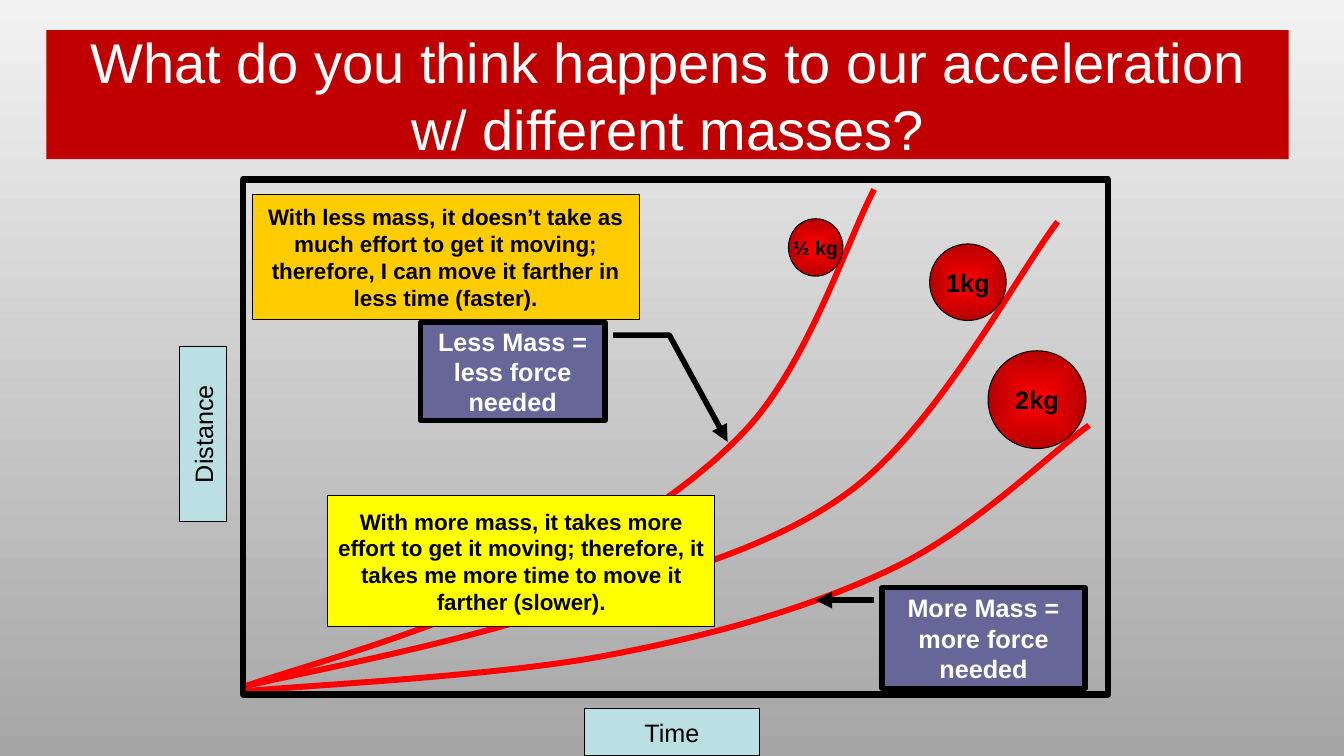
"""Build a slide on how mass changes acceleration, shown on a distance-time sketch."""
from lxml.etree import SubElement
from pptx import Presentation
from pptx.dml.color import RGBColor
from pptx.enum.shapes import MSO_SHAPE as Shape
from pptx.enum.text import MSO_ANCHOR as Anchor, PP_ALIGN as Align
from pptx.oxml.ns import qn
from pptx.util import Inches, Pt


def paint(target, color):
    target.solid()
    target.fore_color.rgb = RGBColor.from_string(color)


def add_box(bounds, kind=Shape.RECTANGLE, fill=None, line=0.75, text="",
            size=18, color="000000", bold=False, wrap=True):
    box = page.shapes.add_shape(kind, *map(Inches, bounds))
    box.shadow.inherit = False
    if fill:
        paint(box.fill, fill)
    else:
        box.fill.background()
    if line:
        paint(box.line.fill, "000000")
        box.line.width = Pt(line)
    else:
        box.line.fill.background()
    if text:
        frame = box.text_frame
        frame.word_wrap = wrap
        frame.vertical_anchor = Anchor.MIDDLE
        para = frame.paragraphs[0]
        para.text = text
        para.alignment = Align.CENTER
        para.font.name = "Arial"
        para.font.size = Pt(size)
        para.font.bold = bold
        paint(para.font.fill, color)
    return box


deck = Presentation()
deck.slide_width, deck.slide_height = Inches(13.33), Inches(7.5)
page = deck.slides.add_slide(deck.slide_layouts[6])

backdrop = page.background.fill
backdrop.gradient()
backdrop.gradient_angle = 270
for stop, shade in zip(backdrop.gradient_stops, ("F2F2F2", "A6A6A6")):
    stop.color.rgb = RGBColor.from_string(shade)

add_box((0.46, 0.3, 12.32, 1.28), fill="C00000", line=0, size=40, color="FFFFFF",
        text="What do you think happens to our acceleration w/ different masses?")

curves = [
    [(2.41, 6.86), (3.01, 6.8), (4.91, 6.71), (5.98, 6.51), (7.05, 6.31),
     (8.04, 6.03), (8.85, 5.64), (9.65, 5.26), (10.4, 4.51), (10.8, 4.22)],
    [(2.42, 6.81), (2.92, 6.69), (4.41, 6.41), (5.42, 6.08), (6.43, 5.75),
     (7.62, 5.49), (8.46, 4.85), (9.31, 4.2), (10.07, 2.75), (10.49, 2.2)],
    [(2.43, 6.81), (2.87, 6.65), (4.23, 6.29), (5.06, 5.86), (5.9, 5.43),
     (6.83, 4.89), (7.43, 4.23), (8.03, 3.56), (8.41, 2.37), (8.67, 1.88)],
]
for points in curves:
    start, *others = [(Inches(x), Inches(y)) for x, y in points]
    builder = page.shapes.build_freeform(*start)
    builder.add_line_segments(others, close=False)
    curve = builder.convert_to_shape()
    curve.shadow.inherit = False
    curve.fill.background()
    paint(curve.line.fill, "FF0000")
    curve.line.width = Pt(4.25)
    segments = list(curve._element.iter(qn("a:lnTo")))
    outline = segments[0].getparent()
    for first in range(0, len(segments), 3):
        bezier = SubElement(outline, qn("a:cubicBezTo"))
        for segment in segments[first:first + 3]:
            bezier.append(segment[0])
            outline.remove(segment)

for name, left, top, angle in [("Distance", 1.15, 4.07, 270), ("Time", 5.8, 7.03, 0)]:
    label = add_box((left, top, 1.73, 0.47), fill="BBE0E3", text=name, wrap=False)
    label.rotation = angle

callouts = [
    ("Less Mass = less force needed", (4.17, 3.2, 1.83, 0.97),
     (0.129, 1.045, 0.129, 1.349, 1.22, 1.665)),
    ("More Mass = more force needed", (8.75, 5.83, 2.01, 1),
     (0.125, -0.041, 0.125, -0.166, 0.125, -0.33)),
]
for text, bounds, pointer in callouts:
    callout = add_box(bounds, Shape.LINE_CALLOUT_2, "666699", 4, text,
                      color="FFFFFF", bold=True)
    for index, value in enumerate(pointer):
        callout.adjustments[index] = value
    SubElement(callout.line._get_or_add_ln(), qn("a:tailEnd"), type="triangle")

balls = [("½ kg", (7.82, 2.17, 0.54, 0.57), 14),
         ("1kg", (9.22, 2.42, 0.76, 0.76), 18),
         ("2kg", (9.8, 3.48, 0.97, 0.97), 18)]
for text, bounds, size in balls:
    ball = add_box(bounds, Shape.OVAL, text=text, size=size, bold=True, wrap=False)
    ball.fill.gradient()
    for stop, shade in zip(ball.fill.gradient_stops, ("FF0000", "B60000")):
        stop.color.rgb = RGBColor.from_string(shade)
    gradient = ball._element.spPr.find(qn("a:gradFill"))
    gradient.remove(gradient.find(qn("a:lin")))
    radial = SubElement(gradient, qn("a:path"), path="shape")
    SubElement(radial, qn("a:fillToRect"),
               dict.fromkeys("ltrb", "50000"))

add_box((2.41, 1.78, 8.58, 5.11), line=4.5)

notes = [
    ("With less mass, it doesn’t take as much effort to get it moving; "
     "therefore, I can move it farther in less time (faster).",
     (2.5, 1.93, 3.84, 1.24), "FFCC00"),
    ("With more mass, it takes more effort to get it moving; "
     "therefore, it takes me more time to move it farther (slower).",
     (3.25, 4.92, 3.84, 1.3), "FFFF00"),
]
for text, bounds, fill in notes:
    add_box(bounds, fill=fill, text=text, size=16, bold=True)

deck.save("out.pptx")
